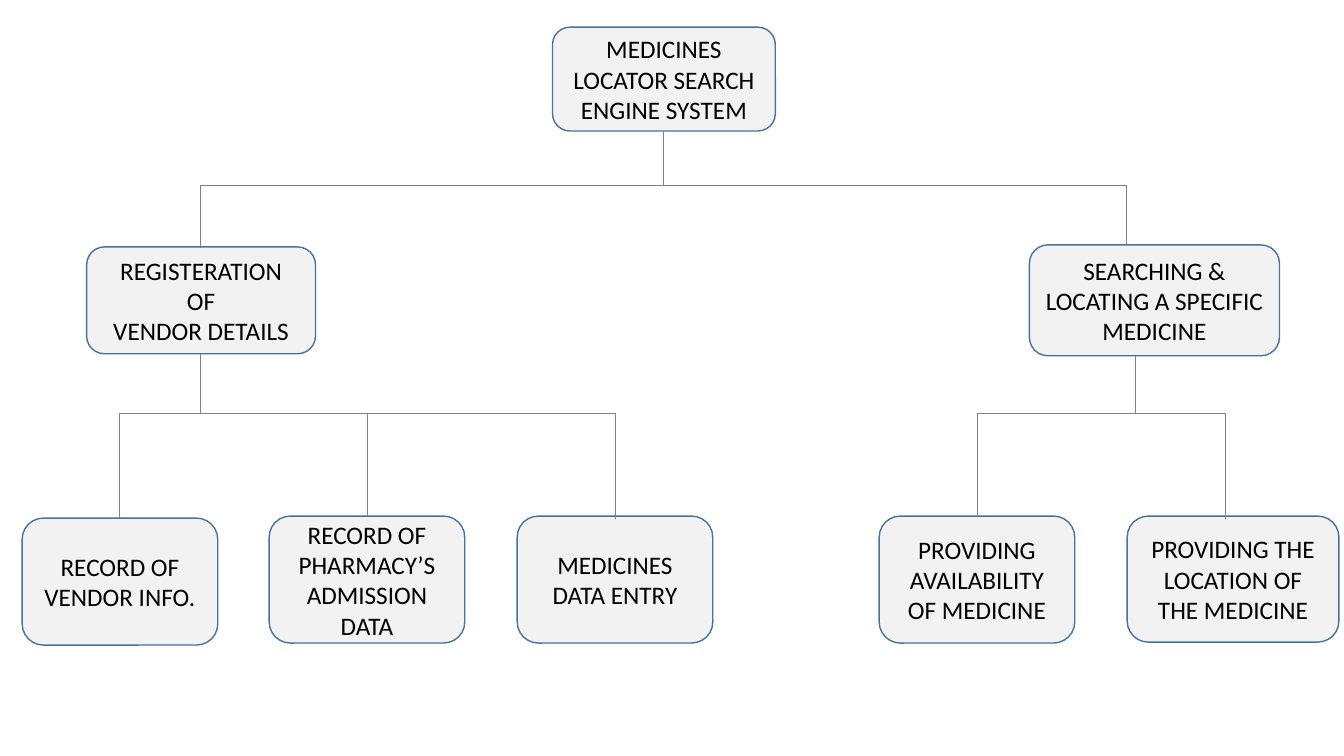
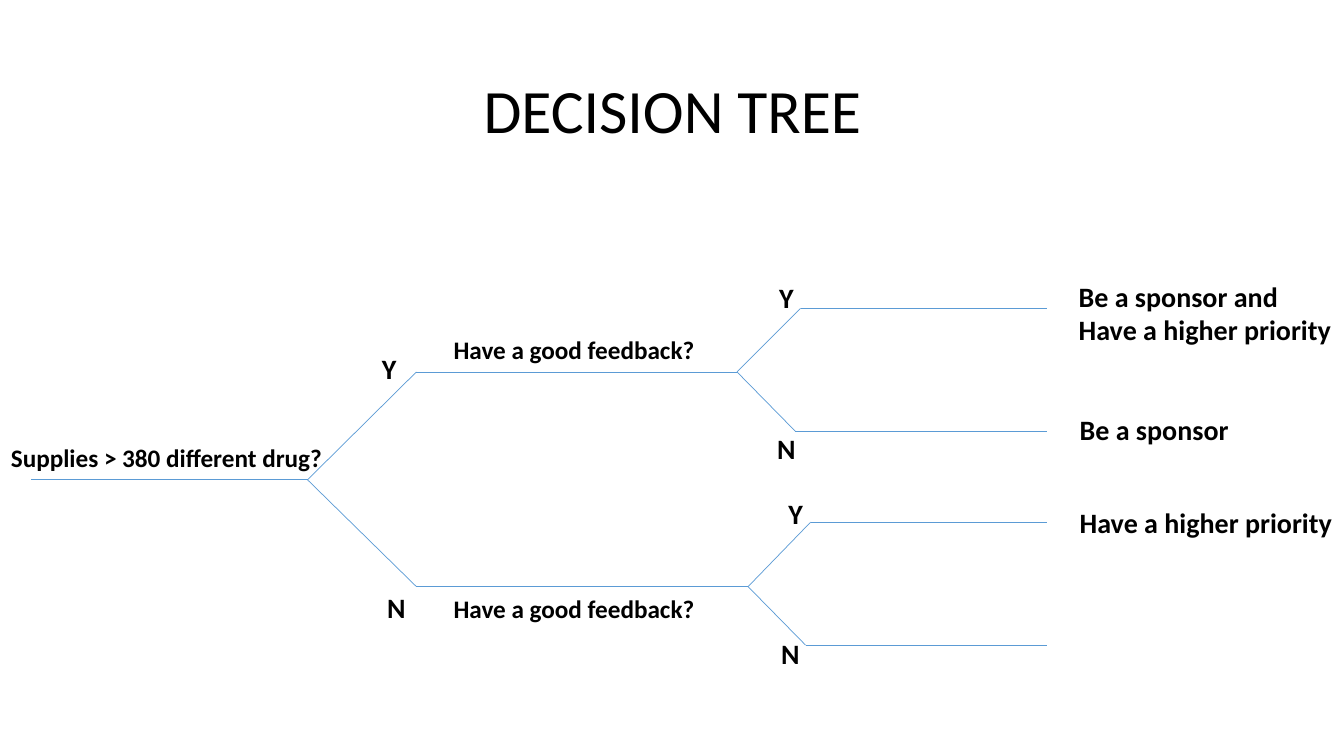
import itertools

import pptx
import pptx.dml.color
import pptx.enum.shapes
import pptx.enum.text
import pptx.oxml.ns
import pptx.util
from lxml import etree

Inches = pptx.util.Inches
Pt = pptx.util.Pt
Align = pptx.enum.text.PP_ALIGN
Anchor = pptx.enum.text.MSO_ANCHOR
Shape = pptx.enum.shapes.MSO_SHAPE
rgb = pptx.dml.color.RGBColor.from_string


class Theme:
    """Colours and type sizes of the deck."""
    font = "Calibri"
    text = rgb("000000")
    fill = rgb("F2F2F2")
    edge = rgb("43739E")
    link = rgb("808080")
    branch = rgb("5B9BD5")
    title = 44
    label = 20
    body = 18
    thin = 0.5


# Shared elements
def style(frame, size, align=Align.LEFT, bold=False):
    for para in frame.paragraphs:
        para.alignment = align
        font = para.font
        font.name, font.size, font.bold = Theme.font, Pt(size), bold
        font.color.rgb = Theme.text


def add_route(slide, points, color):
    """Join the points, one after another, with thin straight lines."""
    for start, end in itertools.pairwise(points):
        line = slide.shapes.add_connector(
            pptx.enum.shapes.MSO_CONNECTOR.STRAIGHT,
            *map(Inches, start + end))
        line.line.color.rgb = color
        line.line.width = Pt(Theme.thin)
        props = line._element.spPr
        etree.SubElement(props, pptx.oxml.ns.qn("a:effectLst"))


def add_box(slide, text, area):
    box = slide.shapes.add_shape(Shape.ROUNDED_RECTANGLE, *map(Inches, area))
    box.shadow.inherit = False
    box.fill.solid()
    box.fill.fore_color.rgb = Theme.fill
    box.line.color.rgb = Theme.edge
    box.line.width = Pt(1)
    frame = box.text_frame
    frame.word_wrap = True
    frame.vertical_anchor = Anchor.MIDDLE
    frame.text = text
    style(frame, Theme.body, Align.CENTER)


def add_fork(slide, stem, rail, drops):
    """Run a stem down to a level rail, then drop from it to each child."""
    x, top = stem
    add_route(slide, [(x, top), (x, rail)], Theme.link)
    ends = [end for end, _ in drops]
    add_route(slide, [(min(ends), rail), (max(ends), rail)], Theme.link)
    for end, low in drops:
        add_route(slide, [(end, rail), (end, low)], Theme.link)


def add_label(slide, text, area, size=Theme.label):
    label = slide.shapes.add_textbox(*map(Inches, area))
    frame = label.text_frame
    frame.word_wrap = False
    frame.auto_size = pptx.enum.text.MSO_AUTO_SIZE.SHAPE_TO_FIT_TEXT
    frame.text = text
    style(frame, size, bold=True)


def add_title(slide, text):
    title = slide.shapes.title
    title.left, title.top = Inches(0.92), Inches(0.4)
    title.width, title.height = Inches(11.5), Inches(1.45)
    frame = title.text_frame
    frame.vertical_anchor = Anchor.MIDDLE
    frame.text = text
    frame.paragraphs[0].line_spacing = 0.9
    style(frame, Theme.title, Align.CENTER)


# Slide 1: function chart
def add_chart(deck):
    slide = deck.slides.add_slide(deck.slide_layouts[6])
    boxes = [
        ("MEDICINES LOCATOR SEARCH ENGINE SYSTEM", (5.48, 0.27, 2.21, 1.03)),
        ("REGISTERATION\nOF\nVENDOR DETAILS", (0.86, 2.45, 2.27, 1.06)),
        ("SEARCHING & LOCATING A SPECIFIC MEDICINE",
         (10.21, 2.43, 2.48, 1.1)),
        ("RECORD OF VENDOR INFO.", (0.22, 5.14, 1.94, 1.26)),
        ("RECORD OF PHARMACY’S ADMISSION DATA", (2.67, 5.12, 1.94, 1.26)),
        ("MEDICINES DATA ENTRY", (5.13, 5.12, 1.94, 1.26)),
        ("PROVIDING AVAILABILITY OF MEDICINE", (8.72, 5.12, 1.94, 1.26)),
        ("PROVIDING THE LOCATION OF THE MEDICINE",
         (11.18, 5.12, 2.1, 1.25)),
    ]
    for text, area in boxes:
        add_box(slide, text, area)

    add_fork(slide, (6.58, 1.3), 1.84, [(1.99, 2.46), (11.17, 2.43)])
    add_fork(slide, (1.99, 3.51), 4.1,
             [(1.18, 5.14), (3.64, 5.12), (6.1, 5.15)])
    add_fork(slide, (11.26, 3.53), 4.1, [(9.69, 5.12), (12.15, 5.15)])


# Slide 2: decision tree
def add_tree(deck):
    slide = deck.slides.add_slide(deck.slide_layouts[5])
    add_title(slide, "DECISION TREE")

    root, high, low, end = (3.05, 4.76), (7.31, 3.69), (7.42, 5.82), 10.38
    routes = [
        [(0.31, 4.76), root],
        [root, (4.13, 3.69), high],
        [root, (4.13, 5.82), low],
        [high, (7.94, 3.06), (end, 3.06)],
        [high, (7.89, 4.28), (end, 4.28)],
        [low, (8.04, 5.18), (end, 5.18)],
        [low, (7.99, 6.4), (end, 6.4)],
    ]
    for points in routes:
        add_route(slide, points, Theme.branch)

    # Questions
    add_label(slide, "Supplies > 380 different drug?",
              (0.01, 4.34, 3.33, 0.4), Theme.body)
    for top in (3.27, 5.84):
        add_label(slide, "Have a good feedback?",
                  (4.4, top, 2.61, 0.4), Theme.body)

    # Answers
    answers = {
        "Y": (0.35, [(3.69, 3.44), (7.63, 2.73), (7.72, 4.88)]),
        "N": (0.39, [(3.74, 5.81), (7.61, 4.23), (7.65, 6.27)]),
    }
    for text, (width, spots) in answers.items():
        for left, top in spots:
            add_label(slide, text, (left, top, width, 0.44))

    # Outcomes
    add_label(slide, "Be a sponsor and\nHave a higher priority",
              (10.6, 2.72, 2.73, 0.77))
    add_label(slide, "Be a sponsor", (10.61, 4.04, 1.69, 0.44))
    add_label(slide, "Have a higher priority", (10.61, 4.97, 2.73, 0.44))


def main():
    deck = pptx.Presentation()
    deck.slide_width, deck.slide_height = Inches(13.33), Inches(7.5)
    add_chart(deck)
    add_tree(deck)
    deck.save("out.pptx")


if __name__ == "__main__":
    main()
